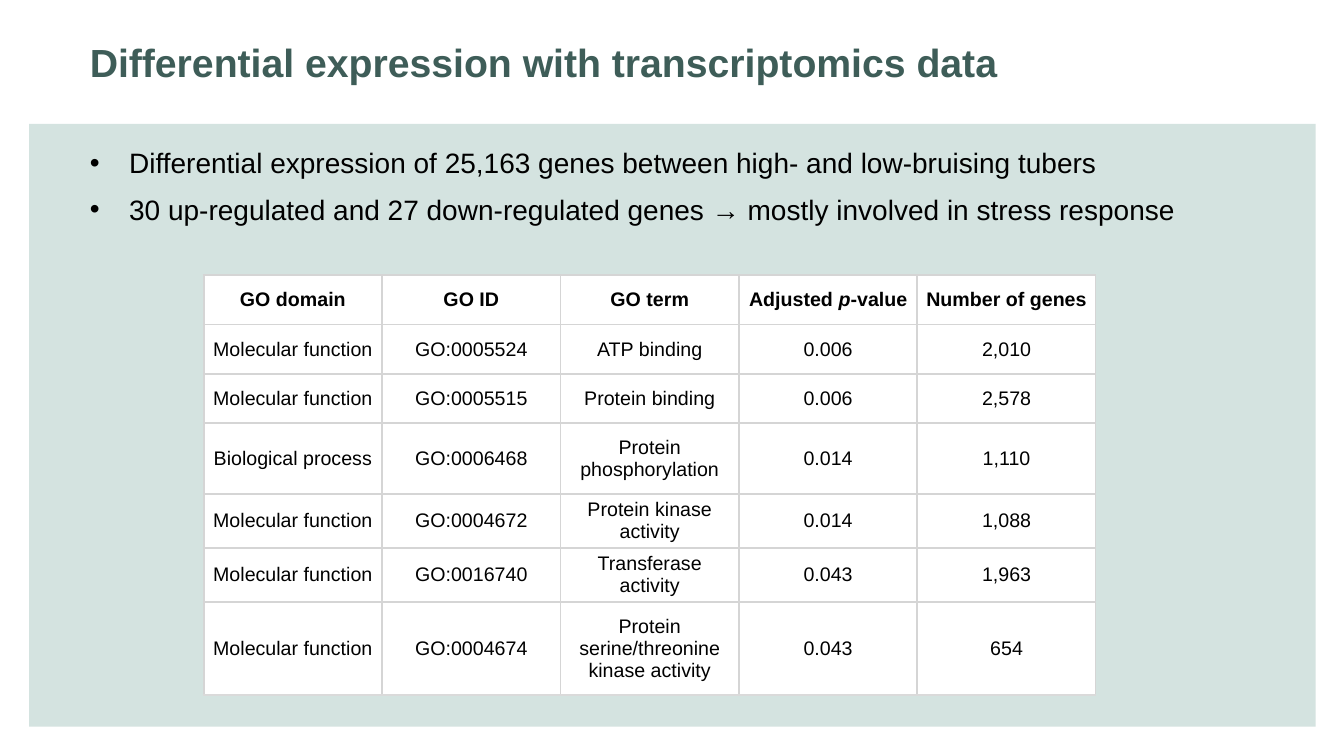
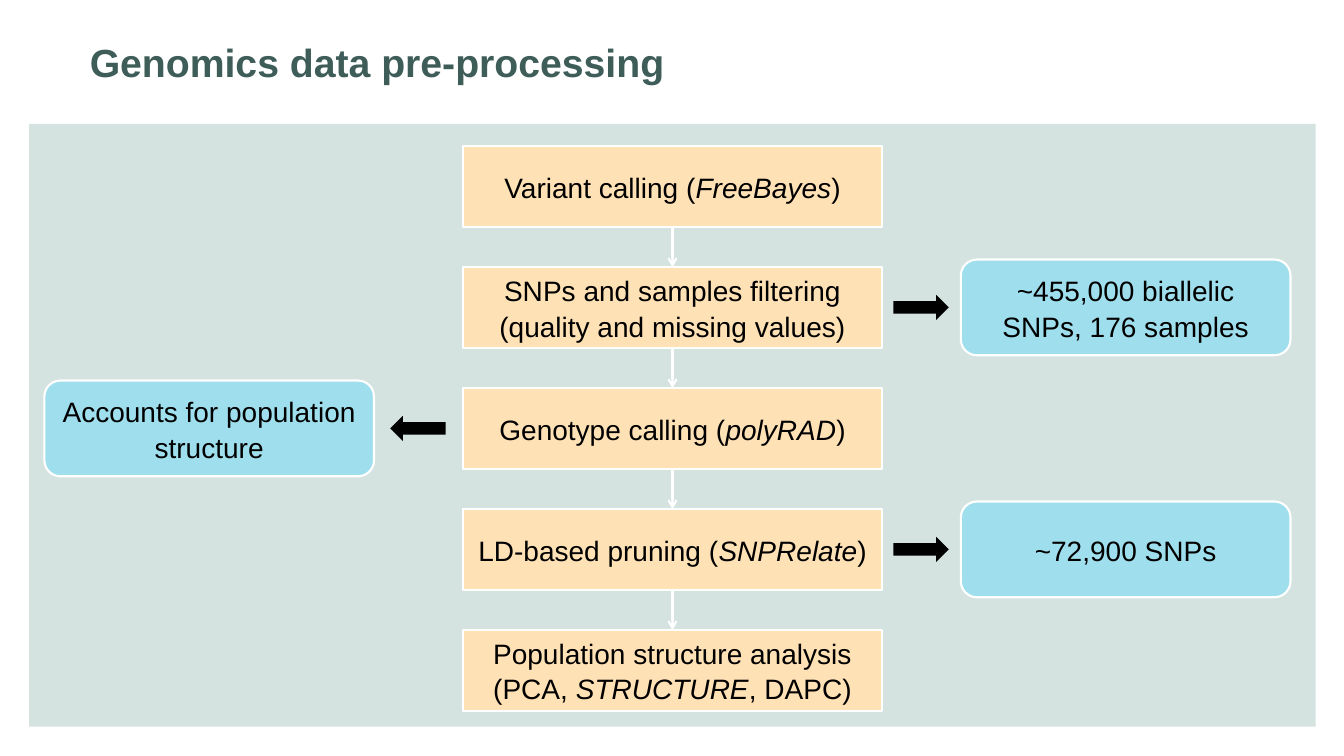
from lxml.etree import SubElement
from pptx import Presentation
from pptx.dml.color import RGBColor
from pptx.enum.shapes import MSO_CONNECTOR as Connector, MSO_SHAPE as Preset
from pptx.enum.text import MSO_ANCHOR as Anchor, MSO_AUTO_SIZE as AutoSize, PP_ALIGN as Align
from pptx.oxml.ns import qn
from pptx.util import Inches, Pt

TITLE_ONLY, TITLE_AND_LIST = 5, 1

GO_TERMS = [
    ("GO domain", "GO ID", "GO term", "Adjusted *p*-value", "Number of genes"),
    ("Molecular function", "GO:0005524", "ATP binding", "0.006", "2,010"),
    ("Molecular function", "GO:0005515", "Protein binding", "0.006", "2,578"),
    ("Biological process", "GO:0006468", "Protein phosphorylation", "0.014", "1,110"),
    ("Molecular function", "GO:0004672", "Protein kinase activity", "0.014", "1,088"),
    ("Molecular function", "GO:0016740", "Transferase activity", "0.043", "1,963"),
    ("Molecular function", "GO:0004674", "Protein serine/threonine kinase activity", "0.043", "654"),
]
ROW_HEIGHTS = [0.49, 0.49, 0.49, 0.7, 0.49, 0.49, 0.92]

PIPELINE = [
    ("Variant calling (*FreeBayes*)", None, None),
    ("SNPs and samples filtering (quality and missing values)", "right",
     "~455,000 biallelic SNPs, 176 samples"),
    ("Genotype calling (*polyRAD*)", "left", "Accounts for population structure"),
    ("LD-based pruning (*SNPRelate*)", "right", "~72,900 SNPs"),
    ("Population structure analysis (PCA, *STRUCTURE*, DAPC)", None, None),
]
SIDES = {
    "right": (Preset.RIGHT_ARROW, 8.86, 9.53),
    "left": (Preset.LEFT_ARROW, 3.87, 0.44),
}


def rgb(value):
    return RGBColor.from_string(value)


def inches(*lengths):
    return [Inches(length) for length in lengths]


def write(frame, text, size=20, color="000000", bold=False, align=Align.CENTER,
          anchor=Anchor.MIDDLE, spacing=1.0, gap=0, hanging=None):
    frame.word_wrap = True
    frame.vertical_anchor = anchor
    for index, line in enumerate(text.split("\n")):
        paragraph = frame.add_paragraph() if index else frame.paragraphs[0]
        paragraph.alignment = align
        paragraph.line_spacing = spacing
        paragraph.space_before = Pt(gap if index else 0)
        if hanging:
            properties = paragraph._p.get_or_add_pPr()
            properties.set("marL", str(Inches(hanging)))
            properties.set("indent", str(-Inches(hanging)))
            SubElement(properties, qn("a:buChar"), char="•")
        for part, words in enumerate(line.split("*")):
            run = paragraph.add_run()
            run.text = words
            font = run.font
            font.name, font.size, font.bold = "Arial", Pt(size), bold
            font.italic = part % 2 == 1
            font.color.rgb = rgb(color)


class Deck:
    GREEN, BAND, WHITE, BLACK = "3E5D58", "D4E3E0", "FFFFFF", "000000"
    STEP, RESULT = "FFE1B6", "9FDFED"
    GRID, GRID_END = "D5D5D5", "DADADA"
    LINE = 1.5

    def __init__(self):
        self.file = Presentation()
        self.file.slide_width, self.file.slide_height = inches(13.33, 7.5)
        self.slide = None

    def new_slide(self, title, layout):
        self.slide = self.file.slides.add_slide(self.file.slide_layouts[layout])
        band = self.shape(Preset.RECTANGLE, (0.29, 1.23, 12.76, 5.98), self.BAND)
        self.slide.shapes._spTree.insert(2, band._element)
        self.place(self.slide.shapes.title, (0.79, 0, 11.31, 1.23), title,
                   size=28, color=self.GREEN, bold=True, align=Align.LEFT)

    def place(self, holder, box, text, **style):
        holder.left, holder.top, holder.width, holder.height = inches(*box)
        holder.text_frame.auto_size = AutoSize.NONE
        write(holder.text_frame, text, **style)

    def bullets(self, box, text):
        self.place(self.slide.placeholders[1], box, text, align=Align.LEFT,
                   anchor=Anchor.TOP, spacing=1.05, gap=8, hanging=0.39)

    def shape(self, preset, box, fill, text=None, line=None):
        shape = self.slide.shapes.add_shape(preset, *inches(*box))
        shape.shadow.inherit = False
        shape.fill.solid()
        shape.fill.fore_color.rgb = rgb(fill)
        if line:
            shape.line.color.rgb = rgb(line)
            shape.line.width = Pt(self.LINE)
        else:
            shape.line.fill.background()
        if text:
            write(shape.text_frame, text, spacing=1.05)
        return shape

    def link(self, upper, lower):
        link = self.slide.shapes.add_connector(Connector.STRAIGHT, 0, 0, 0, 0)
        link.begin_connect(upper, 2)
        link.end_connect(lower, 0)
        link.line.color.rgb = rgb(self.WHITE)
        link.line.width = Pt(self.LINE)
        SubElement(link.line._get_or_add_ln(), qn("a:tailEnd"), type="arrow")
        SubElement(link._element.spPr, qn("a:effectLst"))

    def border(self, cell, edge, color, width):
        line = SubElement(cell._tc.get_or_add_tcPr(), qn(f"a:ln{edge}"), w=str(Pt(width)))
        SubElement(SubElement(line, qn("a:solidFill")), qn("a:srgbClr"), val=color)

    def table(self, left, top, column_width, row_heights, rows):
        columns = len(rows[0])
        table = self.slide.shapes.add_table(
            len(rows), columns,
            *inches(left, top, column_width * columns, sum(row_heights))).table
        table.first_row = table.horz_banding = False
        for column in table.columns:
            column.width = Inches(column_width)
        for r, (values, height) in enumerate(zip(rows, row_heights)):
            table.rows[r].height = Inches(height)
            for c, value in enumerate(values):
                cell = table.cell(r, c)
                cell.margin_left = cell.margin_right = Inches(0.05)
                cell.margin_top = cell.margin_bottom = Inches(0.05)
                cell.vertical_anchor = Anchor.MIDDLE
                self.border(cell, "L", self.GRID, self.LINE)
                self.border(cell, "R", self.GRID, 0.75 if c == columns - 1 else self.LINE)
                self.border(cell, "T", self.GRID, self.LINE)
                self.border(cell, "B", self.GRID_END if r == len(rows) - 1 else self.GRID, self.LINE)
                cell.fill.solid()
                cell.fill.fore_color.rgb = rgb(self.WHITE)
                write(cell.text_frame, value, size=14, bold=r == 0)


def expression_slide(deck):
    deck.new_slide("Differential expression with transcriptomics data", TITLE_AND_LIST)
    deck.bullets((0.79, 1.38, 11.76, 5.76),
                 "Differential expression of 25,163 genes between high- and low-bruising tubers\n"
                 "30 up-regulated and 27 down-regulated genes → mostly involved in stress response")
    deck.table(2.02, 2.73, 1.77, ROW_HEIGHTS, GO_TERMS)


def preprocessing_slide(deck):
    deck.new_slide("Genomics data pre-processing", TITLE_ONLY)
    step_height, result_height, arrow_height, pitch = 0.8, 0.95, 0.25, 1.2
    previous = None
    for index, (step_text, side, result_text) in enumerate(PIPELINE):
        top = 1.45 + index * pitch
        middle = top + step_height / 2
        step = deck.shape(Preset.RECTANGLE, (4.59, top, 4.16, step_height),
                          deck.STEP, step_text, deck.WHITE)
        if previous:
            deck.link(previous, step)
        previous = step
        if side:
            arrow, arrow_left, result_left = SIDES[side]
            deck.shape(arrow, (arrow_left, middle - arrow_height / 2, 0.55, arrow_height),
                       deck.BLACK)
            deck.shape(Preset.ROUNDED_RECTANGLE,
                       (result_left, middle - result_height / 2, 3.27, result_height),
                       deck.RESULT, result_text, deck.WHITE)


def main():
    deck = Deck()
    expression_slide(deck)
    preprocessing_slide(deck)
    deck.file.save("out.pptx")


if __name__ == "__main__":
    main()
